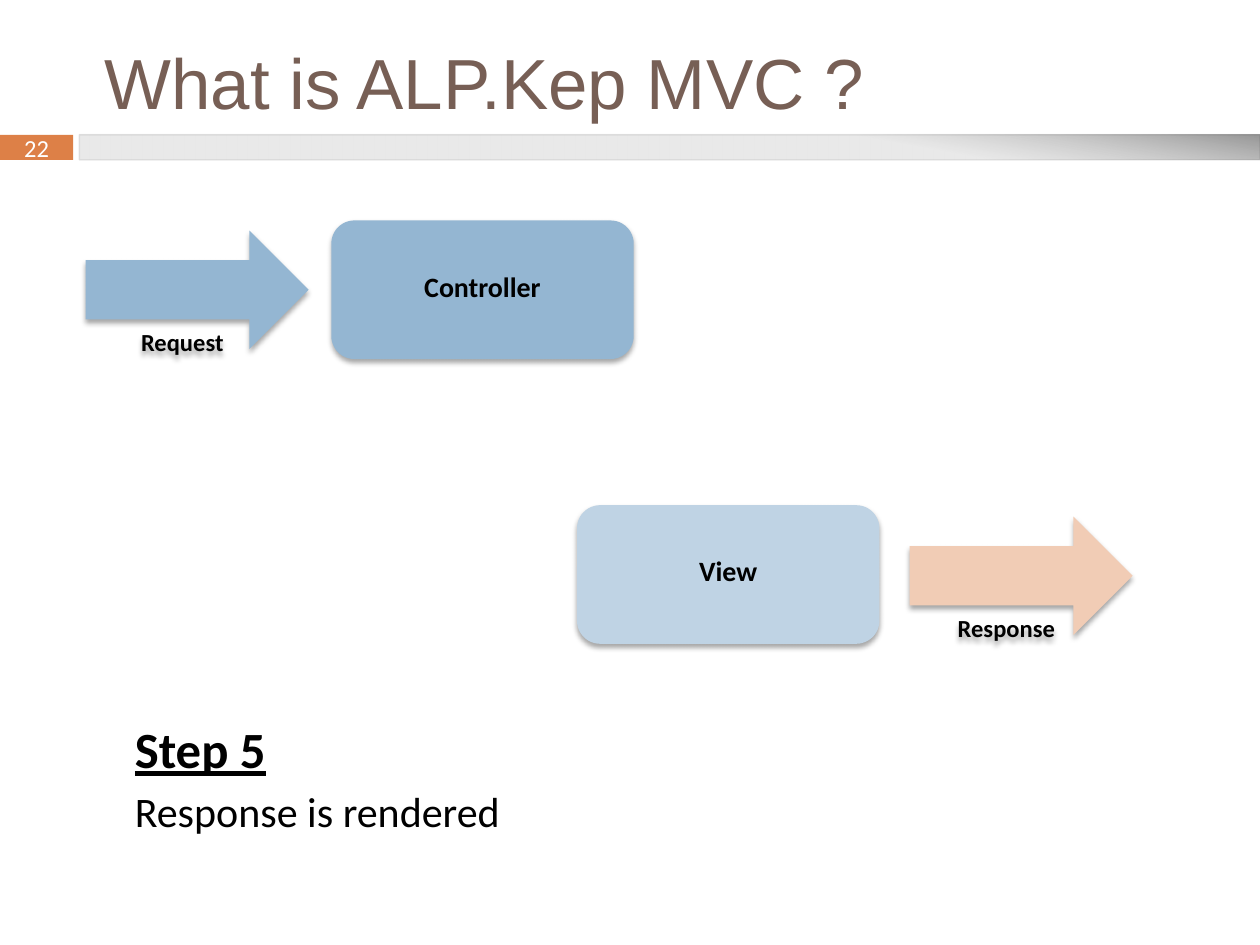
from lxml import etree
from pptx import Presentation
from pptx.dml.color import RGBColor
from pptx.enum import shapes, text
from pptx.oxml import parse_xml
from pptx.oxml.ns import nsdecls, qn
from pptx.util import Inches, Pt

COLORS = {
    "brown": "775F55", "orange": "DD8047", "peach": "F1CCB5",
    "blue": "94B6D2", "pale": "BFD3E4",
    "silver": "BFBFBF", "gray": "808080", "black": "000000", "white": "FFFFFF",
}
BAND_TOP, BAND_HEIGHT = 1.07, 0.2
ARROW_SIZE = (1.77, 0.94)
BOX_SIZE = (2.4, 1.1)


def rgb(name):
    return RGBColor.from_string(COLORS[name])


def write(paragraph, wording, color, **font_values):
    run = paragraph.add_run()
    run.text = wording
    run.font.color.rgb = rgb(color)
    for key, value in {"name": "Calibri", **font_values}.items():
        setattr(run.font, key, value)


def format_frame(frame, **values):
    for key, value in {"word_wrap": True, "auto_size": text.MSO_AUTO_SIZE.NONE,
                       **values}.items():
        setattr(frame, key, value)


def place(item, left, top, width, height):
    for key, value in zip(("left", "top", "width", "height"),
                          (left, top, width, height)):
        setattr(item, key, Inches(value))


def add_block(slide, preset, place_at, color):
    block = slide.shapes.add_shape(preset, *map(Inches, place_at))
    block.shadow.inherit = False
    block.fill.solid()
    block.fill.fore_color.rgb = rgb(color)
    block.line.fill.background()
    return block


def add_shadow(block):
    effects = block._element.spPr.find(qn("a:effectLst"))
    effects.append(parse_xml(
        f'<a:outerShdw {nsdecls("a")} blurRad="{Pt(3)}" dist="{Pt(2)}" '
        f'dir="5400000" rotWithShape="0"><a:srgbClr val="{COLORS["black"]}">'
        '<a:alpha val="35000"/></a:srgbClr></a:outerShdw>'))


def add_step(slide, preset, place_at, color, label, size, **frame_values):
    step = add_block(slide, preset, place_at, color)
    add_shadow(step)
    format_frame(step.text_frame, **frame_values)
    paragraph = step.text_frame.paragraphs[0]
    paragraph.alignment = text.PP_ALIGN.CENTER
    write(paragraph, label, "black", size=Pt(size), bold=True)


def add_arrow(slide, left, top, color, label):
    # The label hangs below the arrow's shaft
    add_step(slide, shapes.MSO_SHAPE.RIGHT_ARROW, (left, top, *ARROW_SIZE),
             color, label, 14, vertical_anchor=text.MSO_ANCHOR.TOP,
             margin_top=Inches(0.53), margin_bottom=Inches(-0.35))


def add_box(slide, left, top, color, label):
    add_step(slide, shapes.MSO_SHAPE.ROUNDED_RECTANGLE, (left, top, *BOX_SIZE),
             color, label, 16, vertical_anchor=text.MSO_ANCHOR.MIDDLE,
             margin_bottom=Inches(0.11))


def add_band(slide, number):
    tab = add_block(slide, shapes.MSO_SHAPE.RECTANGLE,
                    (0, BAND_TOP, 0.58, BAND_HEIGHT), "orange")
    format_frame(tab.text_frame, vertical_anchor=text.MSO_ANCHOR.MIDDLE,
                 margin_top=0, margin_bottom=0)
    paragraph = tab.text_frame.paragraphs[0]
    paragraph.alignment = text.PP_ALIGN.CENTER
    write(paragraph, number, "white", size=Pt(14))

    # Translucent gradient bar with a faint outline
    bar = add_block(slide, shapes.MSO_SHAPE.RECTANGLE,
                    (0.63, BAND_TOP, 9.37, BAND_HEIGHT), "silver")
    stops = "".join(
        f'<a:gs pos="{at * 1000}"><a:srgbClr val="{COLORS[color]}">'
        f'<a:alpha val="{alpha * 1000}"/></a:srgbClr></a:gs>'
        for at, color, alpha in ((69, "silver", 34), (100, "gray", 83)))
    gradient = parse_xml(
        f'<a:gradFill {nsdecls("a")} rotWithShape="1"><a:gsLst>{stops}</a:gsLst>'
        f'<a:lin ang="{280 * 60000}" scaled="0"/></a:gradFill>')
    properties = bar._element.spPr
    properties.replace(properties.find(qn("a:solidFill")), gradient)
    bar.line.color.rgb = rgb("black")
    bar.line.width = Pt(1)
    outline = properties.find(qn("a:ln")).find(".//" + qn("a:srgbClr"))
    etree.SubElement(outline, qn("a:alpha")).set("val", "6000")


def fill_title(title, wording):
    place(title, 0.73, 0.31, 8.55, 0.67)
    format_frame(title.text_frame, vertical_anchor=text.MSO_ANCHOR.MIDDLE)
    paragraph = title.text_frame.paragraphs[0]
    paragraph.alignment = text.PP_ALIGN.LEFT
    write(paragraph, wording, "brown", name="Arial", size=Pt(40.5))


def fill_body(body, lines):
    place(body, 0.97, 5.7, 8.14, 1.26)
    frame = body.text_frame
    format_frame(frame, vertical_anchor=text.MSO_ANCHOR.TOP)
    for index, (wording, font_values) in enumerate(lines):
        paragraph = frame.add_paragraph() if index else frame.paragraphs[0]
        properties = paragraph._p.get_or_add_pPr()
        properties.set("marL", str(Inches(0.35)))
        properties.set("indent", str(Inches(-0.35)))
        etree.SubElement(properties, qn("a:buNone"))
        paragraph.line_spacing = 0.9
        paragraph.space_before = Pt(7 if index else 0)
        write(paragraph, wording, "black", **font_values)


def main():
    deck = Presentation()
    deck.slide_width, deck.slide_height = Inches(10), Inches(7.5)
    slide = deck.slides.add_slide(deck.slide_layouts[1])

    # Heading and number band
    fill_title(slide.shapes.title, "What is ALP.Kep MVC ?")
    add_band(slide, "22")

    # Request enters the controller
    add_arrow(slide, 0.68, 1.83, "blue", "Request")
    add_box(slide, 2.63, 1.75, "blue", "Controller")

    # View sends the response
    add_box(slide, 4.58, 4.01, "pale", "View")
    add_arrow(slide, 7.22, 4.1, "peach", "Response")

    # Explanation of the step
    fill_body(slide.placeholders[1], [
        ("Step 5", {"size": Pt(29), "bold": True, "underline": True}),
        ("Response is rendered", {"size": Pt(24)}),
    ])
    deck.save("out.pptx")


if __name__ == "__main__":
    main()
